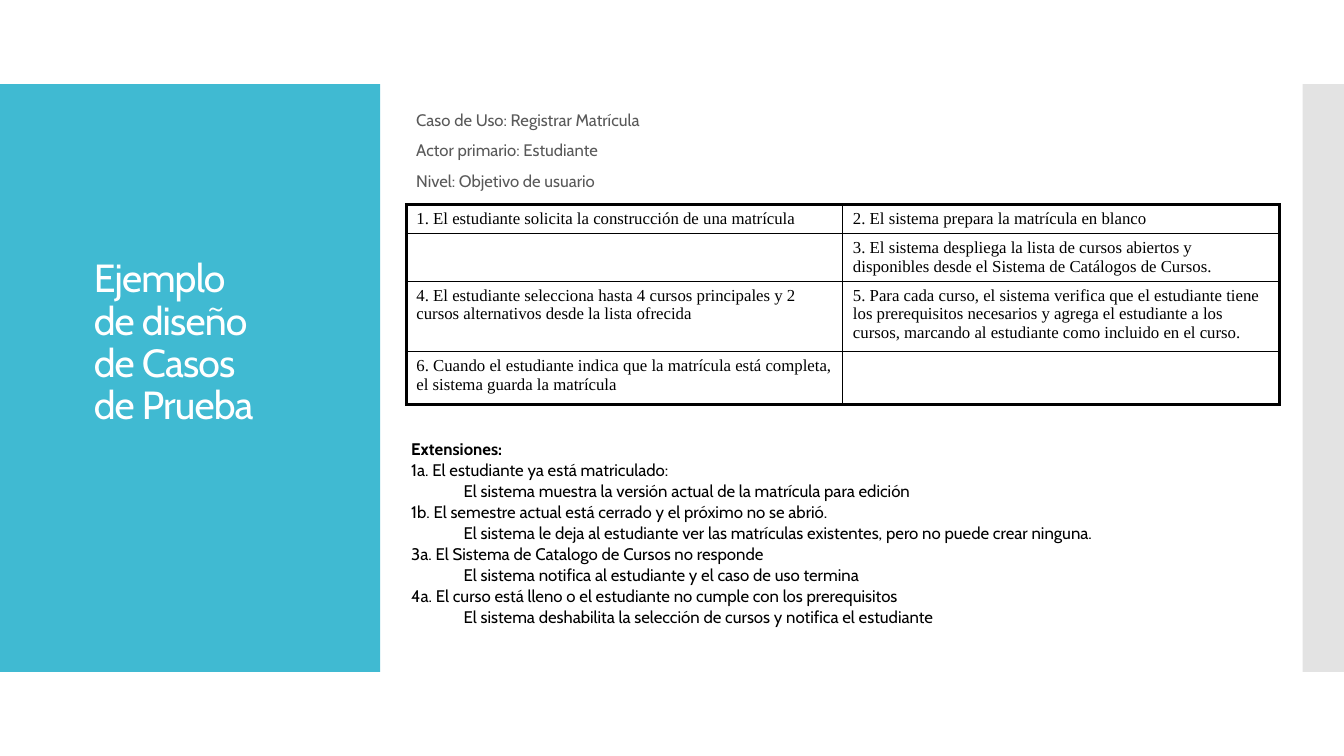
from dataclasses import dataclass
from typing import Any

from lxml import etree
from pptx import Presentation, util as u
from pptx.dml.color import RGBColor
from pptx.enum import shapes, text
from pptx.oxml import ns

WIDTH, HEIGHT = 13.33, 7.5
COLORS = {"panel": "40BAD2", "strip": "C8C8C8", "title": "FFFFFF",
          "summary": "595959", "ink": "000000"}
MARGIN_Y = HEIGHT / 9
CONTENT_LEFT = 4.03
CONTENT_WIDTH = 8.51
COLUMN_WIDTH = 4.33
ROW_HEIGHTS = [0.29, 0.47, 0.7, 0.52]
THICK, THIN = 2.25, 1


@dataclass
class Area:
    left: float
    top: float
    width: float
    height: float

    def lengths(self) -> list[int]:
        return [u.Inches(v) for v in (self.left, self.top, self.width, self.height)]


@dataclass
class Style:
    font: str
    size: float
    color: str
    line: float = 1.0
    before: float = 0.6


@dataclass
class Line:
    words: str
    indent: float = 0
    bold: bool = False


TITLE = Style("Cabin", 28, "title", 0.9, 0)
SUMMARY = Style("Cabin", 11.9, "summary", 0.7, 12)
STEP = Style("Times New Roman", 12, "ink")
EXTENSION = Style("Cabin", 12, "ink")

SUMMARY_LINES = ["Caso de Uso: Registrar Matrícula", "Actor primario: Estudiante",
                 "Nivel: Objetivo de usuario"]
STEPS = [
    ("1. El estudiante solicita la construcción de una matrícula",
     "2. El sistema prepara la matrícula en blanco"),
    ("", "3. El sistema despliega la lista de cursos abiertos y disponibles "
         "desde el Sistema de Catálogos de Cursos."),
    ("4. El estudiante selecciona hasta 4 cursos principales y 2 cursos "
     "alternativos desde la lista ofrecida",
     "5. Para cada curso, el sistema verifica que el estudiante tiene los "
     "prerequisitos necesarios y agrega el estudiante a los cursos, marcando "
     "al estudiante como incluido en el curso."),
    ("6. Cuando el estudiante indica que la matrícula está completa, "
     "el sistema guarda la matrícula", ""),
]
EXTENSIONS = [
    ("1a. El estudiante ya está matriculado:",
     "El sistema muestra la versión actual de la matrícula para edición"),
    ("1b. El semestre actual está cerrado y el próximo no se abrió.",
     "El sistema le deja al estudiante ver las matrículas existentes, "
     "pero no puede crear ninguna."),
    ("3a. El Sistema de Catalogo de Cursos no responde",
     "El sistema notifica al estudiante y el caso de uso termina"),
    ("4a. El curso está lleno o el estudiante no cumple con los prerequisitos",
     "El sistema deshabilita la selección de cursos y notifica el estudiante"),
]


def apply(target: Any, values: dict[str, Any]) -> None:
    for name, value in values.items():
        setattr(target, name, value)


def write(frame: Any, lines: list[Line], style: Style) -> None:
    for index, line in enumerate(lines):
        para = frame.paragraphs[0] if index == 0 else frame.add_paragraph()
        apply(para, {"alignment": text.PP_ALIGN.LEFT, "line_spacing": style.line,
                     "space_before": u.Pt(style.before)})
        if line.indent:
            para._p.get_or_add_pPr().set("marL", str(u.Inches(line.indent)))
        span = para.add_run()
        span.text = line.words
        apply(span.font, {"name": style.font, "size": u.Pt(style.size), "bold": line.bold})
        span.font.color.rgb = RGBColor.from_string(COLORS[style.color])


def fill_box(box: Any, lines: list[Line], style: Style, anchor: Any) -> None:
    apply(box.text_frame, {"word_wrap": True, "auto_size": text.MSO_AUTO_SIZE.NONE,
                           "vertical_anchor": anchor})
    write(box.text_frame, lines, style)


def add_band(page: Any, area: Area, color: str) -> Any:
    band = page.shapes.add_shape(shapes.MSO_SHAPE.RECTANGLE, *area.lengths())
    band.shadow.inherit = False
    band.fill.solid()
    band.fill.fore_color.rgb = RGBColor.from_string(COLORS[color])
    band.line.fill.background()
    page.shapes.title.element.addprevious(band.element)
    return band


def set_borders(cell: Any, widths: dict[str, float]) -> None:
    properties = cell._tc.get_or_add_tcPr()
    for index, (side, width) in enumerate(widths.items()):
        edge = etree.Element(ns.qn(f"a:ln{side}"), w=str(u.Pt(width)))
        fill = etree.SubElement(edge, ns.qn("a:solidFill"))
        etree.SubElement(fill, ns.qn("a:srgbClr"), val=COLORS["ink"])
        properties.insert(index, edge)


def add_steps(page: Any) -> None:
    rows, columns = len(STEPS), len(STEPS[0])
    area = Area(CONTENT_LEFT, 2.03, columns * COLUMN_WIDTH, sum(ROW_HEIGHTS))
    table = page.shapes.add_table(rows, columns, *area.lengths()).table
    apply(table, {"first_row": False, "horz_banding": False})
    for row, height in enumerate(ROW_HEIGHTS):
        table.rows[row].height = u.Inches(height)
        for column, words in enumerate(STEPS[row]):
            cell = table.cell(row, column)
            cell.fill.background()
            if words:
                write(cell.text_frame, [Line(words)], STEP)
            outer = {"L": column == 0, "R": column == columns - 1,
                     "T": row == 0, "B": row == rows - 1}
            set_borders(cell, {side: THICK if edge else THIN
                               for side, edge in outer.items()})


deck = Presentation()
apply(deck, {"slide_width": u.Inches(WIDTH), "slide_height": u.Inches(HEIGHT)})
page = deck.slides.add_slide(deck.slide_layouts[5])

band_height = HEIGHT - 2 * MARGIN_Y
add_band(page, Area(0, MARGIN_Y, 3.77, band_height), "panel")
strip = add_band(page, Area(12.92, MARGIN_Y, WIDTH - 12.92, band_height), "strip")
strip_color = strip.element.spPr.find(".//" + ns.qn("a:srgbClr"))
etree.SubElement(strip_color, ns.qn("a:alpha"), val="50000")

title = page.shapes.title
apply(title, dict(zip(("left", "top", "width", "height"),
                      Area(0.83, 3.03, 1.82, 0.76).lengths())))
fill_box(title, [Line("Ejemplo de diseño de Casos de Prueba")], TITLE, text.MSO_ANCHOR.MIDDLE)
title.text_frame.paragraphs[0].runs[0].font._element.set("spc", "-60")

summary = page.shapes.add_textbox(*Area(CONTENT_LEFT, 1.08, CONTENT_WIDTH, 0.87).lengths())
fill_box(summary, [Line(words) for words in SUMMARY_LINES], SUMMARY, text.MSO_ANCHOR.MIDDLE)

add_steps(page)

extension_lines = [Line("Extensiones:", bold=True)]
for condition, response in EXTENSIONS:
    extension_lines += [Line(condition), Line(response, indent=0.52)]
extensions = page.shapes.add_textbox(*Area(3.98, 4.3, CONTENT_WIDTH, 2.28).lengths())
fill_box(extensions, extension_lines, EXTENSION, text.MSO_ANCHOR.TOP)

deck.save("out.pptx")
